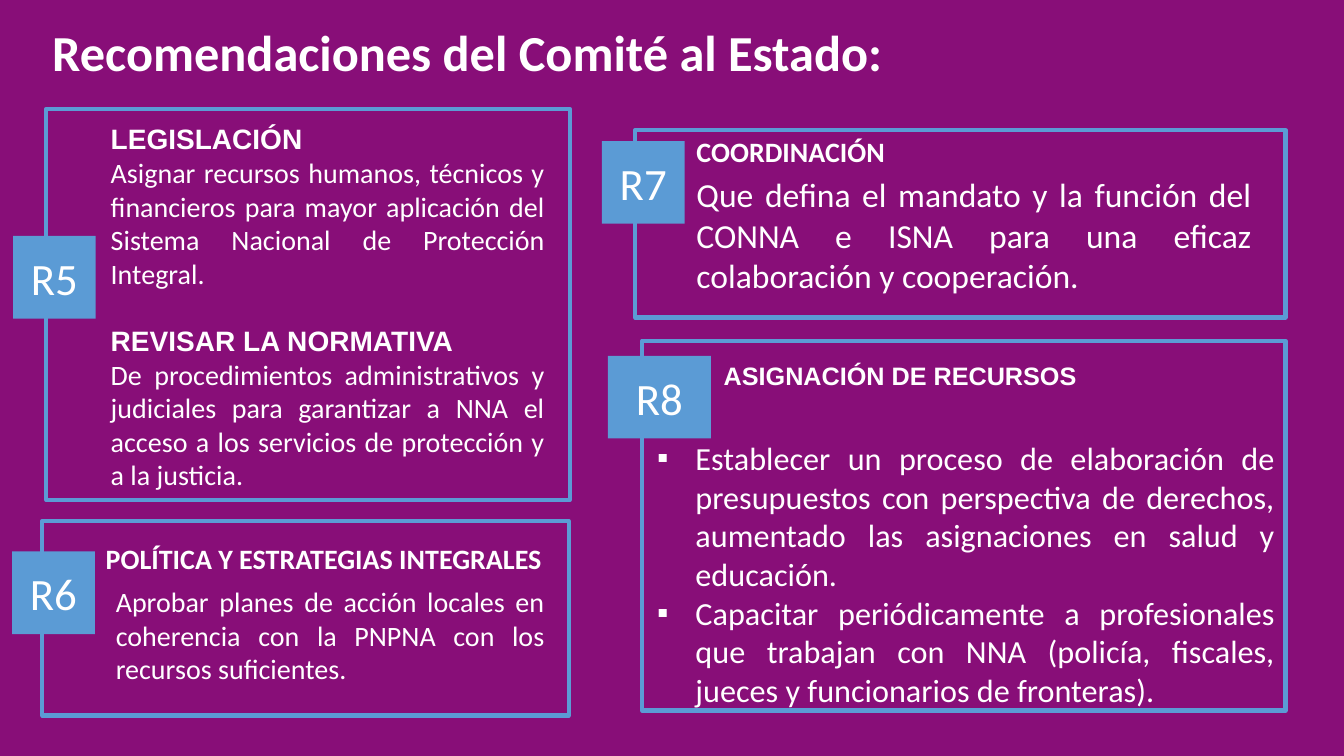
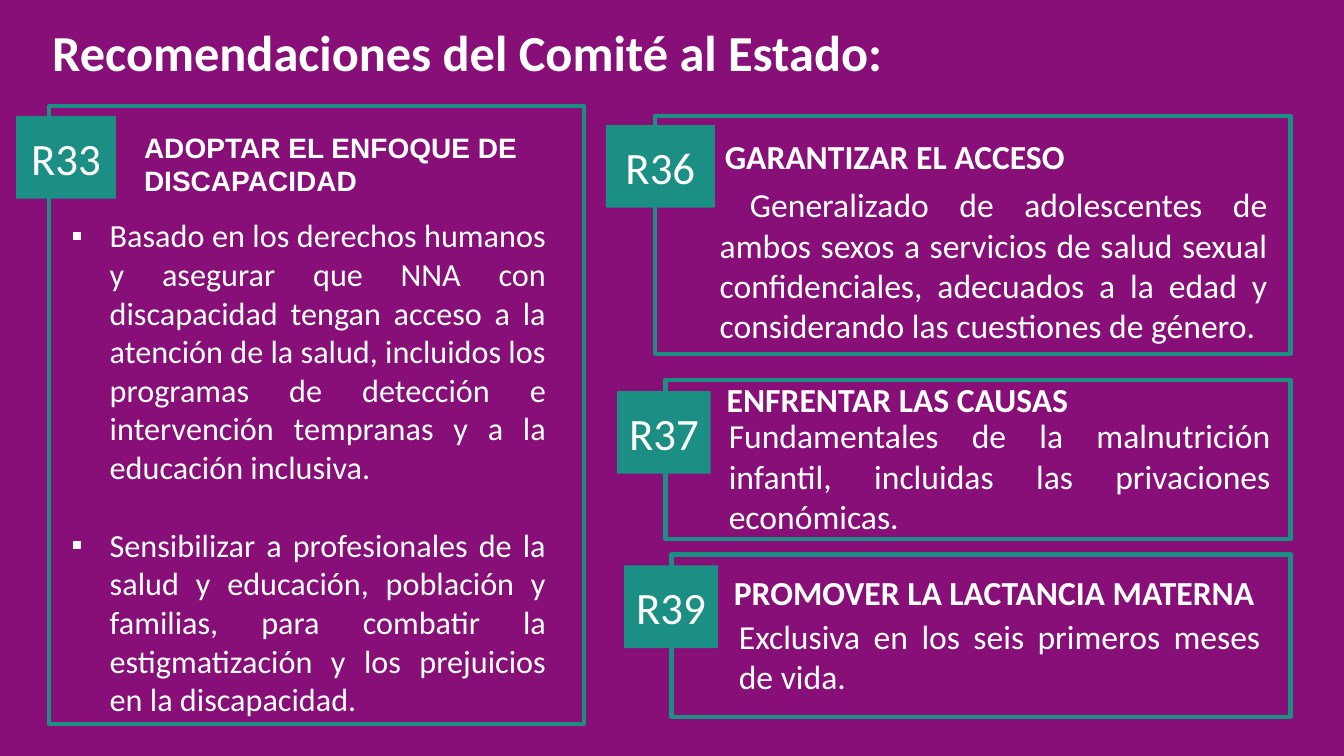
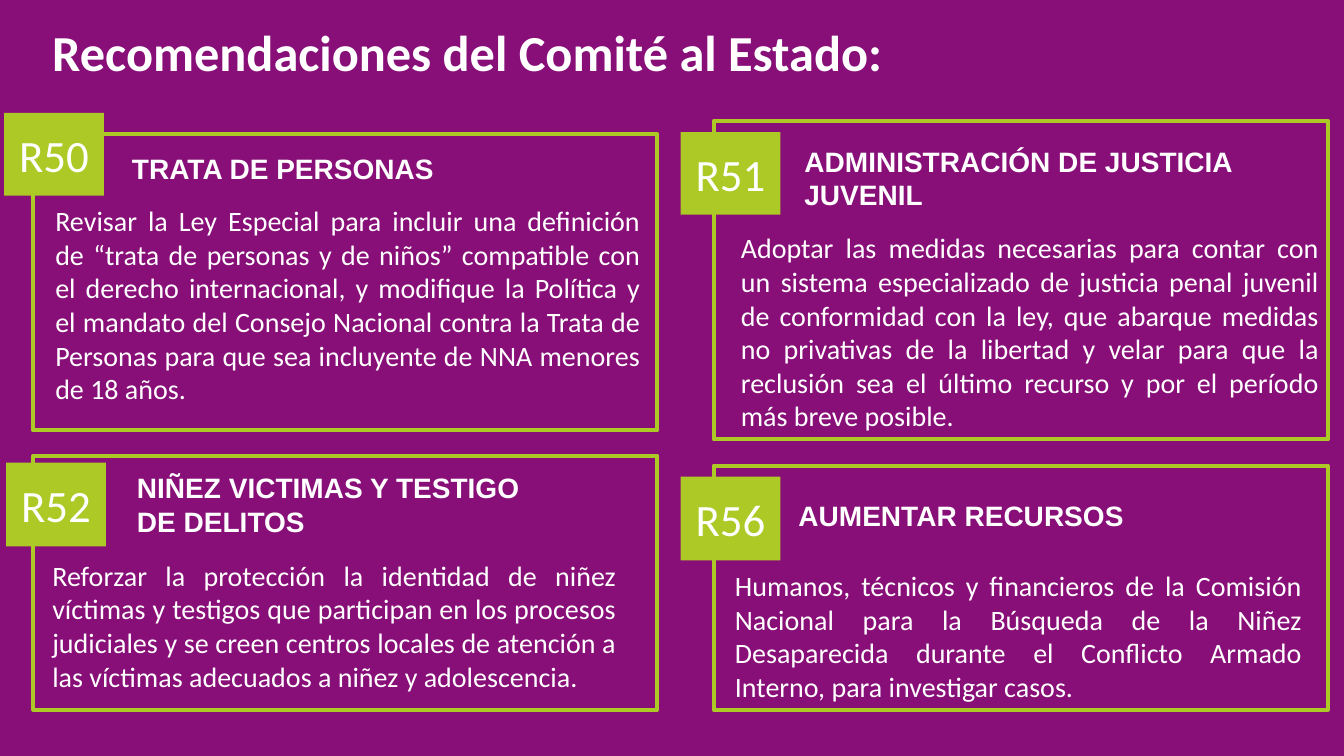
import pptx
import pptx.util
import pptx.dml.color
import pptx.enum.shapes
import pptx.enum.text
import pptx.oxml
import pptx.oxml.ns

PX = 9144  # 100 px to the inch
COLORS = {
    "background": "880E78",
    "text": "FFFFFF",
    "blue": "5B9BD5",
    "teal": "1C8F85",
    "lime": "ACC926",
}
TITLE = "Recomendaciones del Comité al Estado:"
TITLE_BOX = (42, 16, 853, 71)
HANGING = 38

ALIGN = pptx.enum.text.PP_ALIGN
TOP = pptx.enum.text.MSO_ANCHOR.TOP
MIDDLE = pptx.enum.text.MSO_ANCHOR.MIDDLE
RECTANGLE = pptx.enum.shapes.MSO_SHAPE.RECTANGLE

# style: font, size in points, bold, alignment
STYLES = {
    "title": ("Calibri", 36, True, ALIGN.LEFT),
    "badge": ("Calibri", 32, False, ALIGN.CENTER),
    "head arial": ("Arial", 20, True, ALIGN.LEFT),
    "head arial small": ("Arial", 18, True, ALIGN.LEFT),
    "head": ("Calibri", 20, True, ALIGN.LEFT),
    "head large": ("Calibri", 24, True, ALIGN.LEFT),
    "body": ("Calibri", 20, False, ALIGN.JUSTIFY),
    "body large": ("Calibri", 24, False, ALIGN.JUSTIFY),
    "body indented": ("Calibri", 24, False, ALIGN.JUSTIFY),
    "bullet": ("Calibri", 23, False, ALIGN.JUSTIFY),
}

# card: code, frame, badge, texts
# text: box, anchor, paragraphs as (style, wording, points before)
SLIDES = [
    ("blue", [
        ("R6", (42, 517, 522, 193), (12, 547, 82, 82), [
            ((95, 532, 460, 44), MIDDLE, [("head", "POLÍTICA Y ESTRATEGIAS INTEGRALES", 0)]),
            ((105, 575, 445, 111), TOP, [
                ("body", "Aprobar planes de acción locales en coherencia con la PNPNA "
                         "con los recursos suficientes.", 0)]),
        ]),
        ("R5", (46, 108, 519, 388), (13, 234, 82, 82), [
            ((100, 116, 450, 380), TOP, [
                ("head arial", "LEGISLACIÓN", 0),
                ("body", "Asignar recursos humanos, técnicos y financieros para mayor "
                         "aplicación del Sistema Nacional de Protección Integral.", 0),
                ("head arial", "REVISAR LA NORMATIVA", 24),
                ("body", "De procedimientos administrativos y judiciales para garantizar a "
                         "NNA el acceso a los servicios de protección y a la justicia.", 0)]),
        ]),
        ("R7", (630, 129, 645, 186), (597, 140, 82, 82), [
            ((681, 128, 284, 44), MIDDLE, [("head", "COORDINACIÓN", 0)]),
            ((681, 168, 570, 131), TOP, [
                ("body large", "Que defina el mandato y la función del CONNA e ISNA para una "
                               "eficaz colaboración y cooperación.", 0)]),
        ]),
        ("R8", (637, 338, 638, 367), (603, 353, 102, 82), [
            ((708, 352, 374, 40), MIDDLE, [("head arial small", "ASIGNACIÓN DE RECURSOS", 0)]),
            ((642, 430, 633, 281), TOP, [
                ("bullet", "Establecer un proceso de elaboración de presupuestos con "
                           "perspectiva de derechos, aumentado las asignaciones en salud y "
                           "educación.", 0),
                ("bullet", "Capacitar periódicamente a profesionales que trabajan con NNA "
                           "(policía, fiscales, jueces y funcionarios de fronteras).", 0)]),
        ]),
    ]),
    ("teal", [
        ("R33", (49, 105, 530, 613), (16, 115, 99, 82), [
            ((133, 124, 402, 77), MIDDLE, [
                ("head arial", "ADOPTAR EL ENFOQUE DE DISCAPACIDAD", 0)]),
            ((61, 209, 491, 513), TOP, [
                ("bullet", "Basado en los derechos humanos y asegurar que NNA con "
                           "discapacidad tengan acceso a la atención de la salud, incluidos "
                           "los programas de detección e intervención tempranas y a la "
                           "educación inclusiva.", 0),
                ("bullet", "Sensibilizar a profesionales de la salud y educación, población y "
                           "familias, para combatir la estigmatización y los prejuicios en la "
                           "discapacidad.", 28)]),
        ]),
        ("R36", (650, 115, 630, 236), (601, 124, 108, 82), [
            ((709, 130, 397, 50), MIDDLE, [("head large", "GARANTIZAR EL ACCESO", 0)]),
            ((704, 178, 563, 172), TOP, [
                ("body indented", "Generalizado de adolescentes de ambos sexos a servicios de "
                                  "salud sexual confidenciales, adecuados a la edad y "
                                  "considerando las cuestiones de género.", 0)]),
        ]),
        ("R37", (660, 377, 620, 158), (612, 388, 93, 82), [
            ((711, 371, 427, 50), MIDDLE, [("head large", "ENFRENTAR LAS CAUSAS", 0)]),
            ((713, 407, 557, 131), TOP, [
                ("body large", "Fundamentales de la malnutrición infantil, incluidas las "
                               "privaciones económicas.", 0)]),
        ]),
        ("R39", (666, 550, 614, 161), (619, 561, 93, 82), [
            ((718, 562, 542, 50), MIDDLE, [("head large", "PROMOVER LA LACTANCIA MATERNA", 0)]),
            ((723, 606, 537, 91), TOP, [
                ("body large", "Exclusiva en los seis primeros meses de vida.", 0)]),
        ]),
    ]),
    ("lime", [
        ("R50", (33, 133, 619, 294), (4, 112, 99, 82), [
            ((121, 145, 498, 44), MIDDLE, [("head arial", "TRATA DE PERSONAS", 0)]),
            ((45, 197, 600, 212), TOP, [
                ("body", "Revisar la Ley Especial para incluir una definición de “trata de "
                         "personas y de niños” compatible con el derecho internacional, y "
                         "modifique la Política y el mandato del Consejo Nacional contra la "
                         "Trata de Personas para que sea incluyente de NNA menores de 18 "
                         "años.", 0)]),
        ]),
        ("R51", (708, 120, 609, 316), (675, 131, 99, 82), [
            ((788, 138, 530, 77), MIDDLE, [
                ("head arial", "ADMINISTRACIÓN DE JUSTICIA JUVENIL", 0)]),
            ((725, 224, 593, 212), TOP, [
                ("body", "Adoptar las medidas necesarias para contar con un sistema "
                         "especializado de justicia penal juvenil de conformidad con la ley, "
                         "que abarque medidas no privativas de la libertad y velar para que "
                         "la reclusión sea el último recurso y por el período más breve "
                         "posible.", 0)]),
        ]),
        ("R52", (33, 452, 619, 252), (6, 459, 99, 83), [
            ((126, 462, 441, 77), MIDDLE, [
                ("head arial", "NIÑEZ VICTIMAS Y TESTIGO DE DELITOS", 0)]),
            ((42, 549, 579, 145), TOP, [
                ("body", "Reforzar la protección la identidad de niñez víctimas y testigos que "
                         "participan en los procesos judiciales y se creen centros locales de "
                         "atención a las víctimas adecuados a niñez y adolescencia.", 0)]),
        ]),
        ("R56", (708, 462, 609, 242), (675, 473, 99, 83), [
            ((782, 489, 479, 44), MIDDLE, [("head arial", "AUMENTAR RECURSOS", 0)]),
            ((719, 559, 582, 145), TOP, [
                ("body", "Humanos, técnicos y financieros de la Comisión Nacional para la "
                         "Búsqueda de la Niñez Desaparecida durante el Conflicto Armado "
                         "Interno, para investigar casos.", 0)]),
        ]),
    ]),
]


def rgb(name):
    return pptx.dml.color.RGBColor.from_string(COLORS[name])


def write(shape, anchor, paragraphs):
    """Fill a shape with (style, wording, points before) paragraphs."""
    frame = shape.text_frame
    frame.word_wrap = True
    frame.vertical_anchor = anchor
    frame.text = "\n".join(wording for _, wording, _ in paragraphs)
    for paragraph, (style, _, before) in zip(frame.paragraphs, paragraphs):
        font_name, size, bold, alignment = STYLES[style]
        paragraph.alignment = alignment
        properties = paragraph._p.get_or_add_pPr()
        if style == "bullet":
            properties.set("marL", str(HANGING * PX))
            properties.set("indent", str(-HANGING * PX))
            for tag, key, value in (("a:buFont", "typeface", "Arial"), ("a:buChar", "char", "▪")):
                mark = pptx.oxml.parse_xml(f"<{tag} {pptx.oxml.ns.nsdecls('a')}/>")
                mark.set(key, value)
                properties.append(mark)
        elif style == "body indented":
            properties.set("indent", str(30 * PX))
        if before:
            paragraph.space_before = pptx.util.Pt(before)
        for run in paragraph.runs:
            run.font.name = font_name
            run.font.size = pptx.util.Pt(size)
            run.font.bold = bold
            run.font.color.rgb = rgb("text")


deck = pptx.Presentation()
deck.slide_width = 1333 * PX
deck.slide_height = 750 * PX

for accent, cards in SLIDES:
    slide = deck.slides.add_slide(deck.slide_layouts[6])
    slide.background.fill.solid()
    slide.background.fill.fore_color.rgb = rgb("background")
    title = slide.shapes.add_textbox(*(n * PX for n in TITLE_BOX))
    write(title, TOP, [("title", TITLE, 0)])

    for code, frame_box, badge_box, texts in cards:
        border = slide.shapes.add_shape(RECTANGLE, *(n * PX for n in frame_box))
        border.shadow.inherit = False
        border.fill.background()
        border.line.color.rgb = rgb(accent)
        border.line.width = pptx.util.Pt(3)

        badge = slide.shapes.add_shape(RECTANGLE, *(n * PX for n in badge_box))
        badge.shadow.inherit = False
        badge.fill.solid()
        badge.fill.fore_color.rgb = rgb(accent)
        badge.line.fill.background()
        write(badge, MIDDLE, [("badge", code, 0)])

        for box, anchor, paragraphs in texts:
            write(slide.shapes.add_textbox(*(n * PX for n in box)), anchor, paragraphs)

deck.save("out.pptx")
